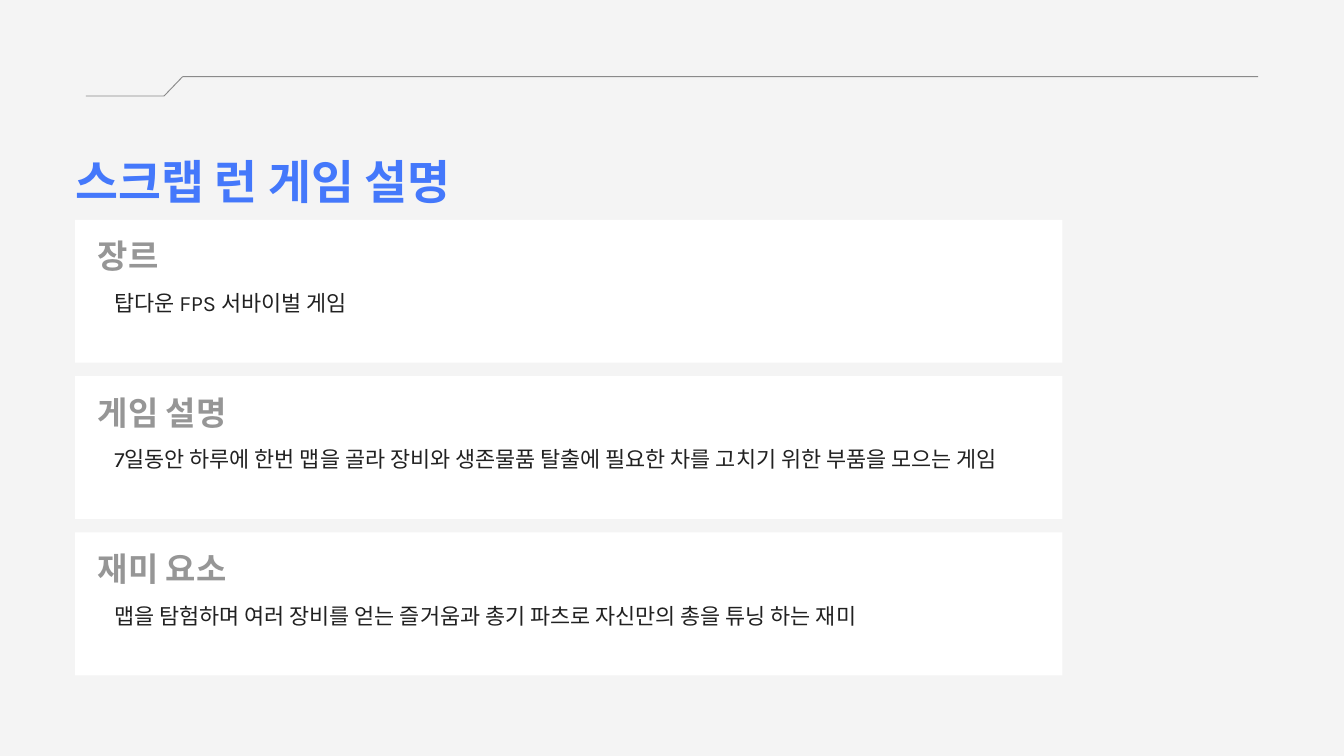
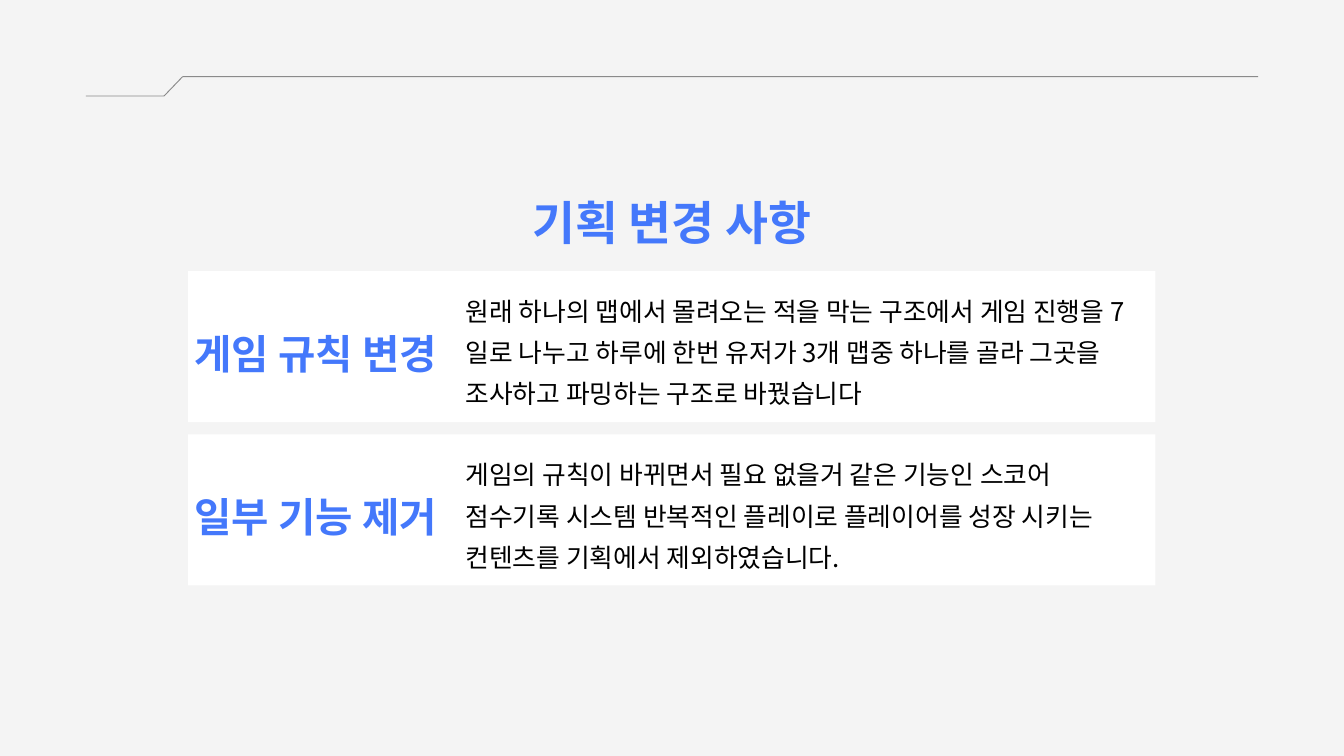
from itertools import pairwise

from lxml.etree import SubElement
from pptx import Presentation
from pptx.dml.color import RGBColor
from pptx.enum.shapes import MSO_CONNECTOR, MSO_SHAPE
from pptx.enum.text import MSO_ANCHOR, MSO_AUTO_SIZE, PP_ALIGN
from pptx.oxml.ns import qn
from pptx.util import Cm, Pt

BACKGROUND = "F4F4F4"
WHITE = "FFFFFF"
BLACK = "000000"
INK = "212121"
GREY = "969696"
BLUE = "4478FB"

LATIN_FONT = "Karla"
KOREAN_FONT = "Noto Sans CJK KR"
TITLE_ONLY = 5

HEADER_POINTS = [(47.55, 2.9), (6.9, 2.9), (6.2, 3.63), (3.25, 3.63)]

GAME_FACTS = [
    ("장르", "탑다운 FPS 서바이벌 게임"),
    ("게임 설명", "7일동안 하루에 한번 맵을 골라 장비와 생존물품 탈출에 필요한 차를 "
                "고치기 위한 부품을 모으는 게임"),
    ("재미 요소", "맵을 탐험하며 여러 장비를 얻는 즐거움과 총기 파츠로 자신만의 총을 "
                "튜닝 하는 재미"),
]
PLAN_CHANGES = [
    ("게임 규칙 변경", "원래 하나의 맵에서 몰려오는 적을 막는 구조에서 게임 진행을 7일로 "
                    "나누고 하루에 한번 유저가 3개 맵중 하나를 골라 그곳을 조사하고 "
                    "파밍하는 구조로 바꿨습니다"),
    ("일부 기능 제거", "게임의 규칙이 바뀌면서 필요 없을거 같은 기능인 스코어 점수기록 "
                    "시스템 반복적인 플레이로 플레이어를 성장 시키는 컨텐츠를 기획에서 "
                    "제외하였습니다."),
]


def color(value):
    return RGBColor.from_string(value)


def write(box, text, size, spacing, ink, font=LATIN_FONT, bold=False,
          align=PP_ALIGN.LEFT):
    """Fill a box with one paragraph; size and line spacing are in points."""
    frame = box.text_frame
    frame.word_wrap = True
    frame.auto_size = MSO_AUTO_SIZE.NONE
    frame.vertical_anchor = MSO_ANCHOR.TOP
    frame.margin_left = frame.margin_right = 0
    frame.margin_top = frame.margin_bottom = 0
    frame.text = text
    para = frame.paragraphs[0]
    para.alignment = align
    para.line_spacing = Pt(spacing)
    para.space_before = Pt(0)
    para.font.size = Pt(size)
    para.font.bold = bold
    para.font.name = font
    para.font.color.rgb = color(ink)
    defaults = para._p.pPr.find(qn("a:defRPr"))
    SubElement(defaults, qn("a:ea"), typeface=KOREAN_FONT)


def add_text(page, left, top, width, height, text, *style, **options):
    box = page.shapes.add_textbox(Cm(left), Cm(top), Cm(width), Cm(height))
    write(box, text, *style, **options)


def add_panel(page, left, top, width, height):
    panel = page.shapes.add_shape(MSO_SHAPE.RECTANGLE, Cm(left), Cm(top),
                                  Cm(width), Cm(height))
    panel.shadow.inherit = False
    panel.fill.solid()
    panel.fill.fore_color.rgb = color(WHITE)
    panel.line.fill.background()


def add_header_line(page):
    """Draw the half-transparent stepped line at the top."""
    for (x1, y1), (x2, y2) in pairwise(HEADER_POINTS):
        line = page.shapes.add_connector(MSO_CONNECTOR.STRAIGHT,
                                         Cm(x1), Cm(y1), Cm(x2), Cm(y2))
        line.line.width = Pt(1)
        line.line.color.rgb = color(INK)
        properties = line._element.spPr
        tint = properties.find(".//" + qn("a:srgbClr"))
        SubElement(tint, qn("a:alpha"), val="50000")
        SubElement(properties, qn("a:effectLst"))


def add_page(deck, title, left, top, align):
    page = deck.slides.add_slide(deck.slide_layouts[TITLE_ONLY])
    add_header_line(page)
    box = page.shapes.title
    box.left, box.top, box.width, box.height = Cm(left), Cm(top), Cm(34.14), Cm(2.24)
    write(box, title, 50, 65, BLUE, bold=True, align=align)
    return page


def add_fact(page, top, heading, body):
    add_panel(page, 2.84, top, 37.32, 5.4)
    add_text(page, 4.32, top + 2.31, 33.4, 1.22, body, 23.4, 37.5, INK)
    add_text(page, 3.7, top + 0.49, 9.96, 1.57, heading, 35.3, 45.9, GREY, bold=True)


def add_change(page, top, heading, body):
    add_panel(page, 7.11, top, 36.56, 5.71)
    add_text(page, 17.6, top + 0.55, 25.37, 4.55, body, 27.6, 44.1, BLACK,
             font=KOREAN_FONT)
    add_text(page, 7.35, top + 2.02, 10, 1.98, heading, 43.5, 56.6, BLUE, bold=True)


def main():
    deck = Presentation()
    deck.slide_width, deck.slide_height = Cm(50.8), Cm(28.58)
    fill = deck.slide_master.background.fill
    fill.solid()
    fill.fore_color.rgb = color(BACKGROUND)

    page = add_page(deck, "스크랩 런 게임 설명", 2.84, 5.59, PP_ALIGN.LEFT)
    for row, (heading, body) in enumerate(GAME_FACTS):
        add_fact(page, 8.31 + row * 5.91, heading, body)

    page = add_page(deck, "기획 변경 사항", 8.33, 7.16, PP_ALIGN.CENTER)
    for row, (heading, body) in enumerate(PLAN_CHANGES):
        add_change(page, 10.25 + row * 6.17, heading, body)

    deck.save("out.pptx")


if __name__ == "__main__":
    main()
